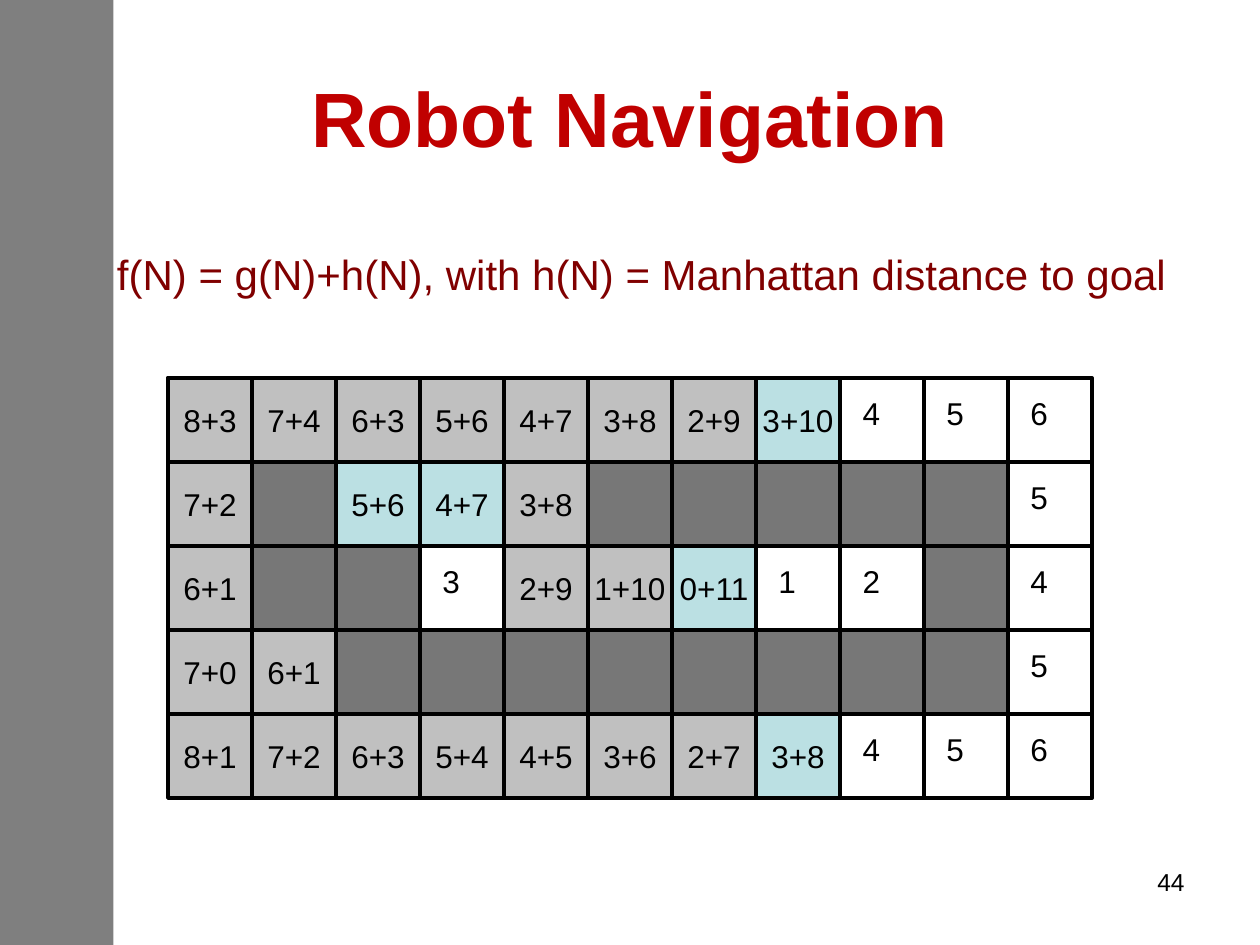
from lxml.etree import SubElement
from pptx import Presentation
from pptx.dml.color import RGBColor
from pptx.enum.shapes import MSO_CONNECTOR, MSO_SHAPE
from pptx.enum.text import MSO_ANCHOR, MSO_AUTO_SIZE, PP_ALIGN
from pptx.oxml.ns import qn
from pptx.util import Inches, Pt

BLACK = RGBColor(0x00, 0x00, 0x00)
RED = RGBColor(0xC0, 0x00, 0x00)
MAROON = RGBColor(0x80, 0x00, 0x00)
WALL = RGBColor(0x77, 0x77, 0x77)
EXPANDED = RGBColor(0xC0, 0xC0, 0xC0)
FRONTIER = RGBColor(0xBB, 0xE0, 0xE3)

# "#" is a wall, g+h a visited cell, "*" a frontier cell, a lone number a distance
MAZE = [
    "8+3 7+4 6+3 5+6 4+7 3+8 2+9 *3+10 4 5 6",
    "7+2 # *5+6 *4+7 3+8 # # # # # 5",
    "6+1 # # 3 2+9 1+10 *0+11 1 2 # 4",
    "7+0 6+1 # # # # # # # # 5",
    "8+1 7+2 6+3 5+4 4+5 3+6 2+7 *3+8 4 5 6",
]
CELL = 2 / 3
LABEL_OFFSET = 0.08


def write(shape, text, size, color, align=PP_ALIGN.LEFT, bold=False, **frame_format):
    frame = shape.text_frame
    for name, value in frame_format.items():
        setattr(frame, name, value)
    para = frame.paragraphs[0]
    para.alignment = align
    span = para.add_run()
    span.text = text
    font = {"name": "Arial", "size": Pt(size), "bold": bold}
    for name, value in font.items():
        setattr(span.font, name, value)
    span.font.color.rgb = color


def add_sidebar(page, left, top, width, height):
    bar = page.shapes.add_shape(MSO_SHAPE.RECTANGLE, Inches(left), Inches(top),
                                Inches(width), Inches(height))
    bar.shadow.inherit = False
    bar.fill.solid()
    bar.fill.fore_color.rgb = BLACK
    bar.line.fill.background()
    # Half transparent, behind everything else
    color = bar.fill._xPr.find(qn("a:solidFill"))[0]
    SubElement(color, qn("a:alpha"), val="50000")
    page.shapes._spTree.insert(2, bar._element)


def add_title(page, left, top, width, height):
    title = page.shapes.title
    place = {"left": left, "top": top, "width": width, "height": height}
    for name, value in place.items():
        setattr(title, name, Inches(value))
    write(title, "Robot Navigation", 44, RED, PP_ALIGN.CENTER, True,
          vertical_anchor=MSO_ANCHOR.MIDDLE)


def add_label(shapes, box, text, size, color, align=PP_ALIGN.LEFT, **frame_format):
    label = shapes.add_textbox(*map(Inches, box))
    write(label, text, size, color, align, **frame_format)


def add_square(shapes, left, top, width, height, fill=None):
    square = shapes.add_shape(MSO_SHAPE.RECTANGLE, Inches(left), Inches(top),
                              Inches(width), Inches(height))
    square.shadow.inherit = False
    if fill is None:
        square.fill.background()
    else:
        square.fill.solid()
        square.fill.fore_color.rgb = fill
    square.line.color.rgb = BLACK
    square.line.width = Pt(2.25)
    return square


def add_grid_line(shapes, *ends):
    line = shapes.add_connector(MSO_CONNECTOR.STRAIGHT, *map(Inches, ends))
    line.line.color.rgb = BLACK
    line.line.width = Pt(2.25)
    SubElement(line._element.spPr, qn("a:effectLst"))


def add_cell(shapes, left, top, entry):
    if entry.isdigit():
        box = (left + LABEL_OFFSET, top + LABEL_OFFSET, 0.38, 0.5)
        add_label(shapes, box, entry, 18, BLACK, word_wrap=False,
                  auto_size=MSO_AUTO_SIZE.SHAPE_TO_FIT_TEXT)
    elif entry == "#":
        add_square(shapes, left, top, CELL, CELL, WALL)
    else:
        fill = FRONTIER if entry.startswith("*") else EXPANDED
        square = add_square(shapes, left, top, CELL, CELL, fill)
        write(square, entry.lstrip("*"), 18, BLACK, PP_ALIGN.CENTER,
              word_wrap=False, vertical_anchor=MSO_ANCHOR.MIDDLE)


def add_maze(page, left, top):
    rows = [line.split() for line in MAZE]
    width, height = len(rows[0]) * CELL, len(rows) * CELL
    shapes = page.shapes.add_group_shape().shapes

    # Frame and grid lines
    add_square(shapes, left, top, width, height)
    for column in range(1, len(rows[0])):
        x = left + column * CELL
        add_grid_line(shapes, x, top, x, top + height)
    for row in range(1, len(rows)):
        y = top + row * CELL
        add_grid_line(shapes, left, y, left + width, y)

    # Cells
    for row, entries in enumerate(rows):
        for column, entry in enumerate(entries):
            add_cell(shapes, left + column * CELL, top + row * CELL, entry)


def main():
    deck = Presentation()
    deck.slide_width, deck.slide_height = Inches(10), Inches(7.5)
    page = deck.slides.add_slide(deck.slide_layouts[5])
    add_sidebar(page, 0, 0, 0.9, 7.5)
    add_title(page, 0.5, 0.3, 9, 1.25)
    add_label(page.shapes, (0.83, 1.92, 8.85, 0.5),
              "f(N) = g(N)+h(N), with h(N) = Manhattan distance to goal",
              24, MAROON, word_wrap=False,
              auto_size=MSO_AUTO_SIZE.SHAPE_TO_FIT_TEXT)
    add_maze(page, 2 * CELL, 3)
    add_label(page.shapes, (7.17, 6.83, 2.33, 0.52), "44", 14, BLACK,
              PP_ALIGN.RIGHT, word_wrap=True)
    deck.save("out.pptx")


if __name__ == "__main__":
    main()
